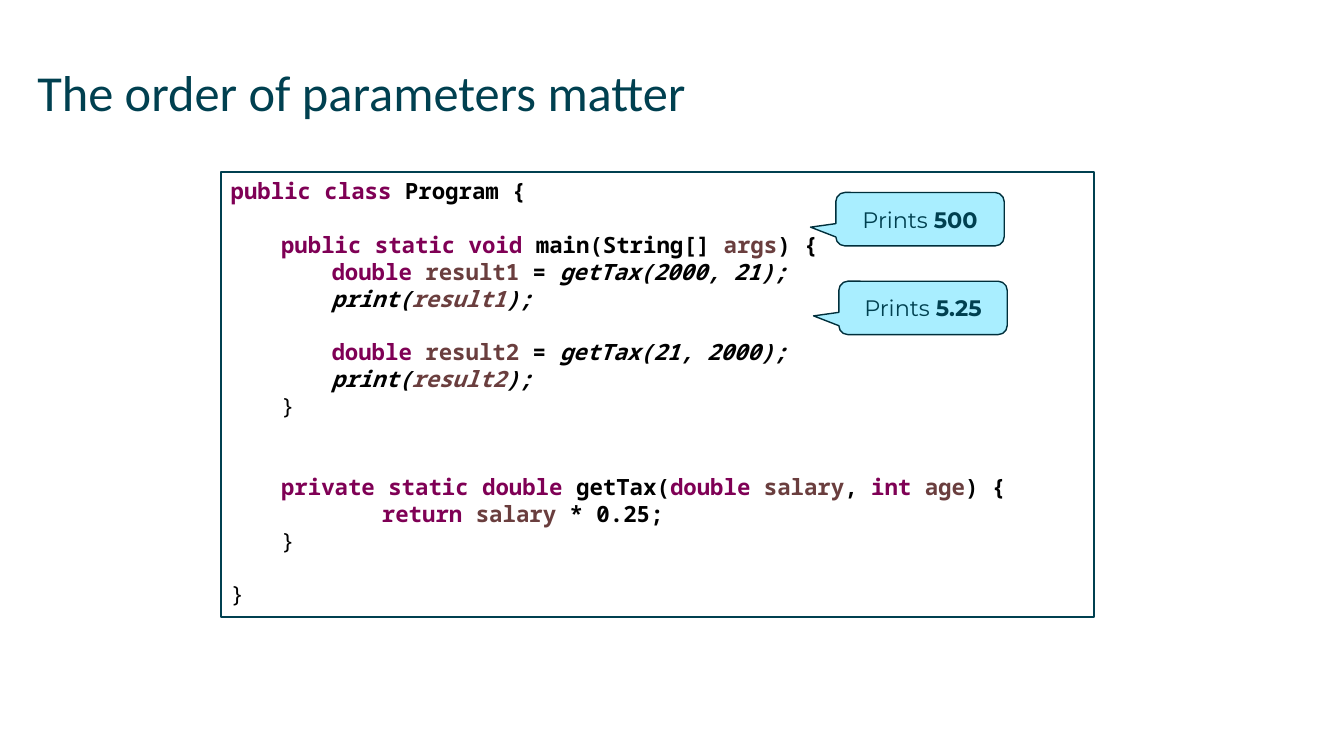
import pptx
import pptx.util
import pptx.dml.color
import pptx.enum.shapes
import pptx.enum.text

Inches, Pt = pptx.util.Inches, pptx.util.Pt
Shape = pptx.enum.shapes.MSO_SHAPE
Text = pptx.enum.text

# Content
TITLE = "The order of parameters matter"
# Each line: indent steps, blank lines above, runs of (text, style)
CODE = [
    (0, 0, [("public class", "key"), (" Program {", "code")]),
    (1, 1, [("public static void", "key"), (" main(String[] ", "code"),
            ("args", "var"), (") {", "code")]),
    (2, 0, [("double ", "key"), ("result1", "var"), (" = ", "code"),
            ("getTax(2000, 21);", "call")]),
    (2, 0, [("print(", "call"), ("result1", "slant"), (");", "call")]),
    (2, 1, [("double ", "key"), ("result2", "var"), (" = ", "code"),
            ("getTax(21, 2000);", "call")]),
    (2, 0, [("print(", "call"), ("result2", "slant"), (");", "call")]),
    (1, 0, [("}", "brace")]),
    (1, 2, [("private static double ", "key"), ("getTax(", "code"),
            ("double ", "key"), ("salary", "var"), (", ", "code"),
            ("int ", "key"), ("age", "var"), (") {", "code")]),
    (3, 0, [("return ", "key"), ("salary", "var"), (" * 0.25;", "code")]),
    (1, 0, [("}", "brace")]),
    (0, 1, [("}", "brace")]),
]
NOTES = [(8.29, 1.91, "500"), (8.32, 2.79, "5.25")]

# Styles are (font, size, colour, bold, italic)
MONO = "Noto Sans Mono"
THEME = {
    "title": ("Calibri", 36, "004050", False, False),
    "key": (MONO, 16, "7F0055", True, False),
    "code": (MONO, 16, "000000", True, False),
    "var": (MONO, 16, "6A3E3E", True, False),
    "call": (MONO, 16, "000000", True, True),
    "slant": (MONO, 16, "6A3E3E", True, True),
    "brace": (MONO, 16, "000000", False, False),
    "note": ("Montserrat", 16, "004050", False, False),
    "value": ("Montserrat", 16, "004050", True, False),
    "panel": ("FFFFFF", "004050", 1.5),
    "bubble": ("A9EEFF", "002F3B", 1),
}
STEP = 0.5    # inches per indent step
BLANK = 19.2  # points per blank code line


def color(code):
    return pptx.dml.color.RGBColor.from_string(code)


def write(para, runs):
    for text, style in runs:
        run = para.add_run()
        run.text = text
        font = run.font
        font.name, size, tone, font.bold, font.italic = THEME[style]
        font.size = Pt(size)
        font.color.rgb = color(tone)


def draw(slide, kind, box, look):
    shape = slide.shapes.add_shape(kind, *map(Inches, box))
    fill, line, width = THEME[look]
    shape.shadow.inherit = False
    shape.fill.solid()
    shape.fill.fore_color.rgb = color(fill)
    shape.line.color.rgb = color(line)
    shape.line.width = Pt(width)
    shape.text_frame.word_wrap = True
    return shape


def main():
    deck = pptx.Presentation()
    deck.slide_width, deck.slide_height = Inches(13.33), Inches(7.5)
    slide = deck.slides.add_slide(deck.slide_layouts[6])

    # Title
    box = slide.shapes.add_textbox(*map(Inches, (0.37, 0.61, 12.6, 0.88)))
    frame = box.text_frame
    frame.word_wrap = True
    frame.margin_left = frame.margin_right = 0
    frame.margin_top = frame.margin_bottom = 0
    write(frame.paragraphs[0], [(TITLE, "title")])

    # Code panel
    panel = draw(slide, Shape.RECTANGLE, (2.19, 1.71, 8.66, 4.41), "panel")
    frame = panel.text_frame
    frame.vertical_anchor = Text.MSO_ANCHOR.TOP
    for row, (depth, gap, runs) in enumerate(CODE):
        para = frame.add_paragraph() if row else frame.paragraphs[0]
        para.alignment = Text.PP_ALIGN.LEFT
        para.space_before = Pt(gap * BLANK)
        props = para._p.get_or_add_pPr()
        props.set("marL", str(Inches(depth * STEP)))
        props.set("indent", "0")
        write(para, runs)

    # Result callouts
    for left, top, value in NOTES:
        note = draw(slide, Shape.ROUNDED_RECTANGULAR_CALLOUT,
                    (left, top, 1.67, 0.53), "bubble")
        for spot, ratio in enumerate((-0.65, 0.15, 0.17)):
            note.adjustments[spot] = ratio
        note.text_frame.vertical_anchor = Text.MSO_ANCHOR.MIDDLE
        para = note.text_frame.paragraphs[0]
        para.alignment = Text.PP_ALIGN.CENTER
        write(para, [("Prints ", "note"), (value, "value")])

    deck.save("out.pptx")


if __name__ == "__main__":
    main()
